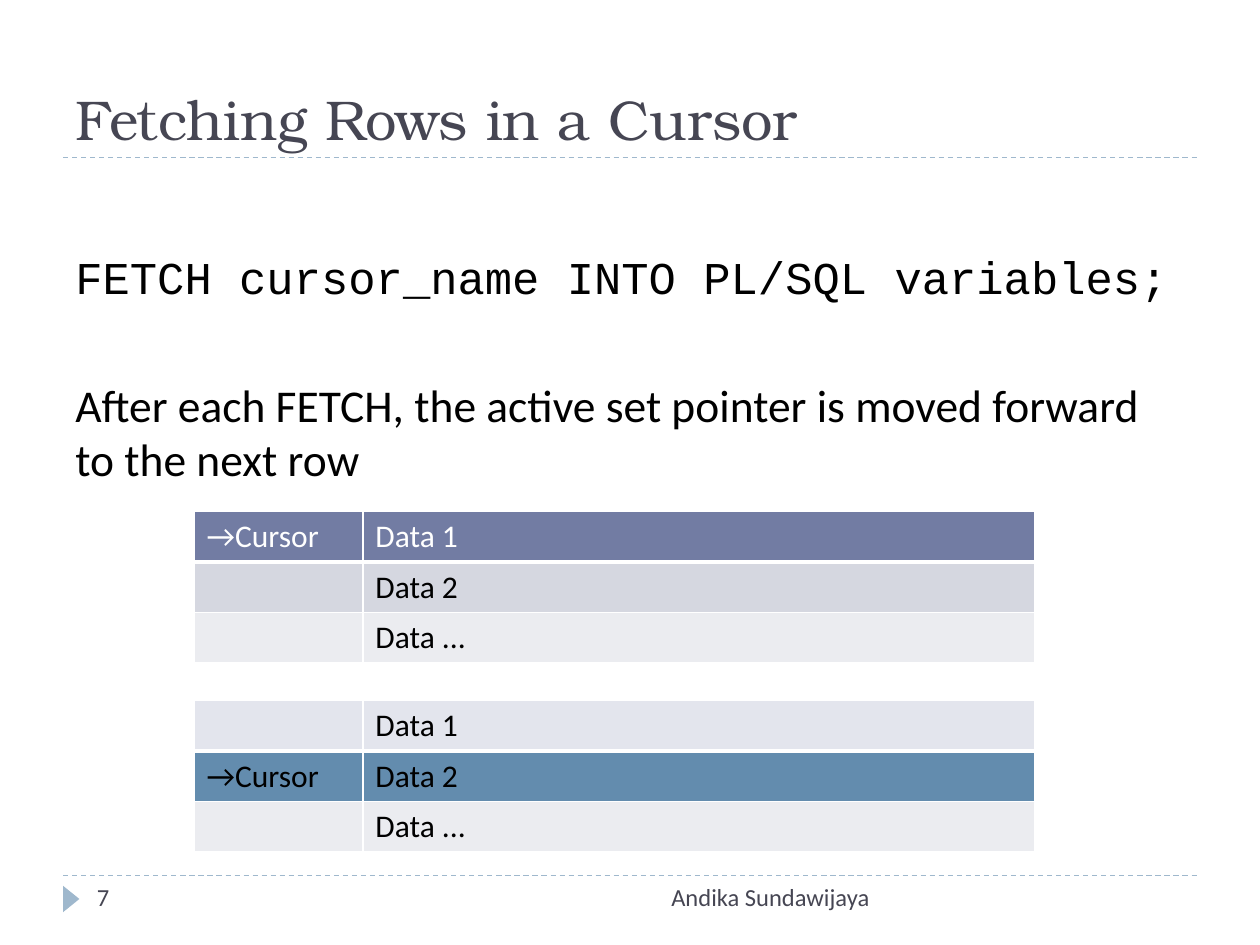
from dataclasses import dataclass

from lxml import etree
from pptx import Presentation
from pptx.dml.color import RGBColor
from pptx.enum.dml import MSO_LINE
from pptx.enum.shapes import MSO_CONNECTOR, MSO_SHAPE
from pptx.enum.text import MSO_ANCHOR, PP_ALIGN
from pptx.oxml.ns import qn
from pptx.util import Inches, Pt

DASH = MSO_LINE.DASH
STRAIGHT = MSO_CONNECTOR.STRAIGHT
TRIANGLE = MSO_SHAPE.ISOSCELES_TRIANGLE
TOP, BOTTOM = MSO_ANCHOR.TOP, MSO_ANCHOR.BOTTOM
LEFT, RIGHT = PP_ALIGN.LEFT, PP_ALIGN.RIGHT


@dataclass(frozen=True)
class Theme:
    """Colours, fonts and type sizes."""
    ink: str = "464653"
    black: str = "000000"
    white: str = "FFFFFF"
    rule: str = "9FB8CD"
    head: str = "727CA3"
    band: str = "D5D7E0"
    pale: str = "EBECF0"
    mist: str = "E3E5ED"
    mark: str = "638CAE"
    serif: str = "TeX Gyre Bonum"
    sans: str = "Calibri"
    mono: str = "Courier New"
    title: int = 32
    body: int = 26
    cell: int = 18
    foot: int = 14


class Deck:
    """Draws styled elements on the current slide."""

    def __init__(self, theme):
        self.theme = theme
        self.file = Presentation()
        self.file.slide_width, self.file.slide_height = Inches(10), Inches(7.5)
        self.slide = self.file.slides.add_slide(self.file.slide_layouts[6])

    def put(self, para, text, size, font, color):
        """Add one styled run to a paragraph."""
        run = para.add_run()
        run.text = text
        run.font.size, run.font.name = Pt(size), font
        run.font.color.rgb = RGBColor.from_string(color)

    def text(self, spot, lines, anchor=TOP, align=LEFT, inset=0.05, gap=0):
        """Add a text box with one run per paragraph."""
        frame = self.slide.shapes.add_textbox(*map(Inches, spot)).text_frame
        frame.word_wrap = True
        frame.vertical_anchor = anchor
        frame.margin_top = Inches(inset)
        for i, line in enumerate(lines):
            para = frame.add_paragraph() if i else frame.paragraphs[0]
            para.alignment = align
            para.space_before = Pt(gap if i else 0)
            self.put(para, *line)

    def rule(self, y):
        """Add a dashed line across the slide."""
        line = self.slide.shapes.add_connector(
            STRAIGHT, Inches(0.5), Inches(y), Inches(9.5), Inches(y))
        line.line.color.rgb = RGBColor.from_string(self.theme.rule)
        line.line.width = Pt(0.75)
        line.line.dash_style = DASH
        etree.SubElement(line._element.spPr, qn("a:effectLst"))

    def arrow(self, spot):
        """Add the page marker triangle."""
        shape = self.slide.shapes.add_shape(TRIANGLE, *map(Inches, spot))
        shape.shadow.inherit = False
        shape.rotation = 90
        shape.fill.solid()
        shape.fill.fore_color.rgb = RGBColor.from_string(self.theme.rule)
        shape.line.fill.background()

    def border(self, cell, widths):
        """Set the left, right, top and bottom borders of a cell."""
        props = cell._tc.get_or_add_tcPr()
        for i, (side, width) in enumerate(zip("LRTB", widths)):
            edge = etree.Element(qn(f"a:ln{side}"), w=str(int(Pt(width))))
            fill = etree.SubElement(edge, qn("a:solidFill"))
            etree.SubElement(fill, qn("a:srgbClr"), val=self.theme.white)
            props.insert(i, edge)

    def table(self, y, rows):
        """Add a two-column table of (fill, colour, label, data) rows."""
        theme = self.theme
        grid = self.slide.shapes.add_table(
            len(rows), 2, Inches(1.54), Inches(y), Inches(6.67), Inches(1.2)).table
        for col, width in zip(grid.columns, (1.34, 5.33)):
            col.width = Inches(width)
        for r, (fill, color, *texts) in enumerate(rows):
            grid.rows[r].height = Inches(0.4)
            for c, text in enumerate(texts):
                cell = grid.cell(r, c)
                cell.fill.solid()
                cell.fill.fore_color.rgb = RGBColor.from_string(fill)
                self.border(cell, (1, 1, 3 if r == 1 else 1, 3 if r == 0 else 1))
                para = cell.text_frame.paragraphs[0]
                if text:
                    self.put(para, text, theme.cell, theme.sans, color)
                else:
                    para.font.size = Pt(theme.cell)


def main():
    """Build the slide and save it."""
    theme = Theme()
    deck = Deck(theme)
    for y in (6.95, 1.25):
        deck.rule(y)
    deck.arrow((0.46, 7.07, 0.21, 0.13))
    deck.text((0.5, 0.17, 9, 1.08),
              [("Fetching Rows in a Cursor", theme.title, theme.serif, theme.ink)],
              anchor=BOTTOM)
    foot = (theme.foot, theme.sans, theme.ink)
    deck.text((3.17, 6.95, 3.83, 0.4), [("Andika Sundawijaya", *foot)], align=RIGHT)
    deck.text((0.67, 6.95, 2.17, 0.4), [("7", *foot)])
    deck.text((0.5, 1.33, 9, 5.4), [
        ("FETCH cursor_name INTO PL/SQL variables;",
         theme.body, theme.mono, theme.black),
        ("After each FETCH, the active set pointer is moved forward to the next row",
         theme.body, theme.sans, theme.black),
    ], inset=0.65, gap=41.5)
    last = (theme.pale, theme.black, "", "Data ...")
    deck.table(5.56, [
        (theme.mist, theme.black, "", "Data 1"),
        (theme.mark, theme.black, "→Cursor", "Data 2"),
        last,
    ])
    deck.table(4.06, [
        (theme.head, theme.white, "→Cursor", "Data 1"),
        (theme.band, theme.black, "", "Data 2"),
        last,
    ])
    deck.file.save("out.pptx")


if __name__ == "__main__":
    main()
